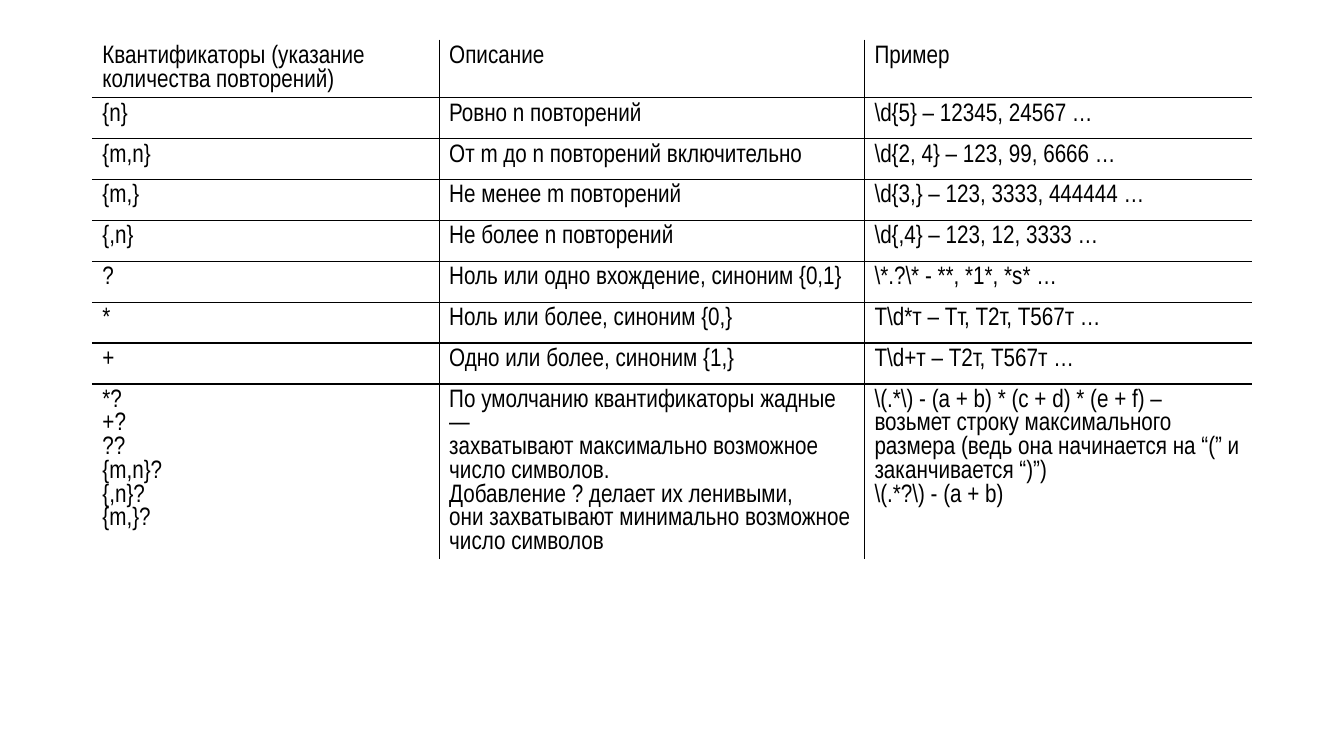
import pptx
import pptx.util
import pptx.dml.color
import pptx.oxml.ns
import lxml.etree

Pt = pptx.util.Pt
BLACK, WHITE = "000000", "FFFFFF"
TEXT_FORMAT = {"name": "Arial Narrow", "size": Pt(18), "bold": False}
TABLE_FORMAT = {"first_row": False, "horz_banding": False}
COLUMN_WIDTHS = [247.7, 303.8, 276.5]
ROW_HEIGHT = 29.2
QUANTIFIERS = [
    ["Квантификаторы (указание количества повторений)", "Описание", "Пример"],
    ["{n}", "Ровно n повторений", r"\d{5} – 12345, 24567 …"],
    ["{m,n}", "От m до n повторений включительно", r"\d{2, 4} – 123, 99, 6666 …"],
    ["{m,}", "Не менее m повторений", r"\d{3,} – 123, 3333, 444444 …"],
    ["{,n}", "Не более n повторений", r"\d{,4} – 123, 12, 3333 …"],
    ["?", "Ноль или одно вхождение, синоним {0,1}", r"\*.?\* - **, *1*, *s* …"],
    ["*", "Ноль или более, синоним {0,}", r"T\d*т – Тт, Т2т, Т567т …"],
    ["+", "Одно или более, синоним {1,}", r"T\d+т – Т2т, Т567т …"],
    [
        "*?\v+?\v??\v{m,n}?\v{,n}?\v{m,}?",
        "По умолчанию квантификаторы жадные —\v"
        "захватывают максимально возможное число символов.\v"
        "Добавление ? делает их ленивыми,\v"
        "они захватывают минимально возможное число символов",
        r"\(.*\) - (a + b) * (c + d) * (e + f) – возьмет строку максимального "
        "размера (ведь она начинается на “(” и заканчивается “)”)\n"
        r"\(.*?\) - (a + b)",
    ],
]


def color(value):
    return pptx.dml.color.RGBColor.from_string(value)


def apply_format(target, values):
    for name, value in values.items():
        setattr(target, name, value)


def set_borders(cell, colors):
    properties = cell._tc.get_or_add_tcPr()
    qualified = pptx.oxml.ns.qn
    for side, value in colors.items():
        line = lxml.etree.SubElement(properties, qualified(f"a:ln{side}"), w=str(Pt(1)))
        fill = lxml.etree.SubElement(line, qualified("a:solidFill"))
        lxml.etree.SubElement(fill, qualified("a:srgbClr"), val=value)


def fill_cell(cell, text, borders):
    set_borders(cell, borders)
    cell.fill.background()
    cell.text = text
    for paragraph in cell.text_frame.paragraphs:
        for run in paragraph.runs:
            apply_format(run.font, TEXT_FORMAT)
            run.font.color.rgb = color(BLACK)


def add_quantifier_table(slide, left, top, widths, row_height, rows):
    shape = slide.shapes.add_table(
        len(rows), len(widths), Pt(left), Pt(top),
        Pt(sum(widths)), Pt(row_height * len(rows)),
    )
    table = shape.table
    apply_format(table, TABLE_FORMAT)
    for column, width in zip(table.columns, widths):
        column.width = Pt(width)
    last_row, last_column = len(rows) - 1, len(widths) - 1
    for row_index, texts in enumerate(rows):
        table.rows[row_index].height = Pt(row_height)
        for column_index, text in enumerate(texts):
            outer_sides = {
                "L": column_index == 0,
                "R": column_index == last_column,
                "T": row_index == 0,
                "B": row_index == last_row,
            }
            borders = {side: WHITE if outer else BLACK for side, outer in outer_sides.items()}
            fill_cell(table.cell(row_index, column_index), text, borders)


def main():
    presentation = pptx.Presentation()
    apply_format(presentation, {"slide_width": Pt(960), "slide_height": Pt(540)})
    slide = presentation.slides.add_slide(presentation.slide_layouts[6])
    add_quantifier_table(slide, 66, 28.8, COLUMN_WIDTHS, ROW_HEIGHT, QUANTIFIERS)
    presentation.save("out.pptx")


if __name__ == "__main__":
    main()
